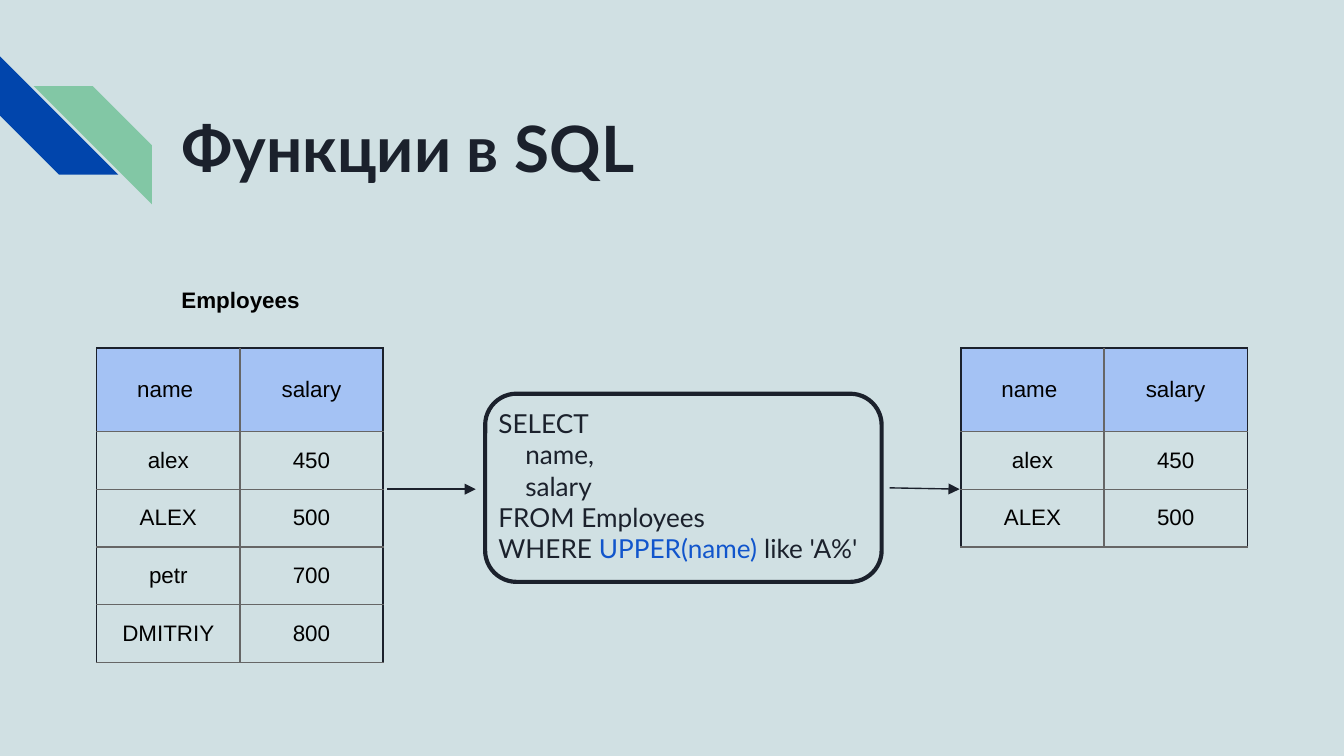
from lxml.etree import SubElement
from pptx import Presentation
from pptx.dml.color import RGBColor
from pptx.enum.shapes import MSO_CONNECTOR as Link, MSO_SHAPE as Shape
from pptx.enum.text import MSO_ANCHOR as Anchor, PP_ALIGN as Align
from pptx.oxml.ns import qn
from pptx.util import Inches, Pt

INK = RGBColor(0x1B, 0x21, 0x2C)
BLACK = RGBColor(0, 0, 0)
GRAY = RGBColor(0x66, 0x66, 0x66)
BLUE = RGBColor(0x01, 0x45, 0xAC)
GREEN = RGBColor(0x82, 0xC7, 0xA5)
HEAD = RGBColor(0xA4, 0xC2, 0xF4)
CALL = RGBColor(0x11, 0x55, 0xCC)
BACK = RGBColor(0xD0, 0xE0, 0xE3)

TITLE = "Функции в SQL"
LABEL = "Employees"
STAFF = [
    ("name ", "salary"),
    ("alex", "450"),
    ("ALEX", "500"),
    ("petr", "700"),
    ("DMITRIY", "800"),
]
FOUND = STAFF[:3]
# Each line: indent level, then (text, colour) runs
QUERY = [
    (0, [("SELECT", INK)]),
    (1, [("name,", INK)]),
    (1, [("salary", INK)]),
    (0, [("FROM Employees", INK)]),
    (0, [("WHERE ", INK), ("UPPER(name)", CALL), (" like 'A%'", INK)]),
]
STRIPES = [(0, 0.42, 270, BLUE), (0.25, 0.64, 90, GREEN)]
TABLES = [(0.72, STAFF), (7.15, FOUND)]
ARROWS = [(2.88, 3.64, 3.54, 3.64), (6.62, 3.63, 7.14, 3.64)]

WIDTH = Inches(10)
HEIGHT = WIDTH * 9 // 16
TABLE_TOP, TABLE_WIDTH = 2.59, 2.13
HEAD_ROW, BODY_ROW = 0.62, 0.43
STEP = 0.2
BOX = (3.61, 2.93, 2.95)

TITLE_FONT = dict(name="Lato", size=Pt(34.2), bold=True)
CODE_FONT = dict(name="Lato", size=Pt(14))
CELL_FONT = dict(name="Arial", size=Pt(12))
LABEL_FONT = dict(CELL_FONT, bold=True)
INSETS = {f"margin_{side}": Inches(0.1) for side in ("left", "top", "right", "bottom")}
FRAME = dict(INSETS, word_wrap=True, vertical_anchor=Anchor.TOP)
CELL = dict(INSETS, vertical_anchor=Anchor.MIDDLE)


def apply(target, values):
    for key, value in values.items():
        setattr(target, key, value)


def inches(*values):
    return [Inches(v) for v in values]


def add_run(para, text, font, color):
    run = para.add_run()
    run.text = text
    apply(run.font, font)
    run.font.color.rgb = color


def add_border(cell, side, color):
    line = SubElement(cell._tc.get_or_add_tcPr(), qn(f"a:ln{side}"), w=str(Pt(0.75)))
    fill = SubElement(line, qn("a:solidFill"))
    SubElement(fill, qn("a:srgbClr"), val=str(color))


def add_grid(slide, left, rows):
    count, cols = len(rows), len(rows[0])
    heights = [HEAD_ROW] + [BODY_ROW] * (count - 1)
    place = inches(left, TABLE_TOP, TABLE_WIDTH, sum(heights))
    table = slide.shapes.add_table(count, cols, *place).table
    for r, row in enumerate(rows):
        table.rows[r].height = Inches(heights[r])
        for c, text in enumerate(row):
            cell = table.cell(r, c)
            apply(cell, CELL)
            para = cell.text_frame.paragraphs[0]
            para.alignment = Align.CENTER
            add_run(para, text, CELL_FONT, BLACK)
            outer = {"L": c == 0, "R": c == cols - 1, "T": r == 0, "B": False}
            for side, dark in outer.items():
                add_border(cell, side, INK if dark else GRAY)
            if r == 0:
                cell.fill.solid()
                cell.fill.fore_color.rgb = HEAD
            else:
                cell.fill.background()


def add_arrow(slide, *ends):
    arrow = slide.shapes.add_connector(Link.STRAIGHT, *inches(*ends))
    arrow.line.color.rgb = INK
    arrow.line.width = Pt(0.75)
    SubElement(arrow.line._get_or_add_ln(), qn("a:tailEnd"), type="triangle")
    SubElement(arrow._element.spPr, qn("a:effectLst"))


def add_text(slide, *place):
    frame = slide.shapes.add_textbox(*inches(*place)).text_frame
    apply(frame, FRAME)
    return frame


def main():
    deck = Presentation()
    deck.slide_width, deck.slide_height = WIDTH, HEIGHT
    slide = deck.slides.add_slide(deck.slide_layouts[5])
    slide.background.fill.solid()
    slide.background.fill.fore_color.rgb = BACK

    for left, top, turn, color in STRIPES:
        stripe = slide.shapes.add_shape(Shape.DIAGONAL_STRIPE, *inches(left, top, 0.88, 0.88))
        stripe.rotation = turn
        stripe.shadow.inherit = False
        stripe.fill.solid()
        stripe.fill.fore_color.rgb = color
        stripe.line.fill.background()

    title = slide.shapes.title
    apply(title, dict(zip(("left", "top", "width", "height"), inches(1.25, 0.71, 7.41, 0.76))))
    apply(title.text_frame, FRAME)
    para = title.text_frame.paragraphs[0]
    para.alignment = Align.LEFT
    add_run(para, TITLE, TITLE_FONT, INK)

    para = add_text(slide, 0.15, 2.03, 3.28, 0.4).paragraphs[0]
    para.alignment = Align.CENTER
    add_run(para, LABEL, LABEL_FONT, BLACK)

    for left, rows in TABLES:
        add_grid(slide, left, rows)

    frame = add_text(slide, *BOX, 1.31)
    for i, (level, runs) in enumerate(QUERY):
        para = frame.add_paragraph() if i else frame.paragraphs[0]
        para._p.get_or_add_pPr().set("marL", str(Inches(level * STEP)))
        for text, color in runs:
            add_run(para, text, CODE_FONT, color)

    border = slide.shapes.add_shape(Shape.ROUNDED_RECTANGLE, *inches(*BOX, 1.4))
    border.shadow.inherit = False
    border.fill.background()
    border.line.color.rgb = INK
    border.line.width = Pt(2.25)

    for ends in ARROWS:
        add_arrow(slide, *ends)

    deck.save("out.pptx")


if __name__ == "__main__":
    main()
